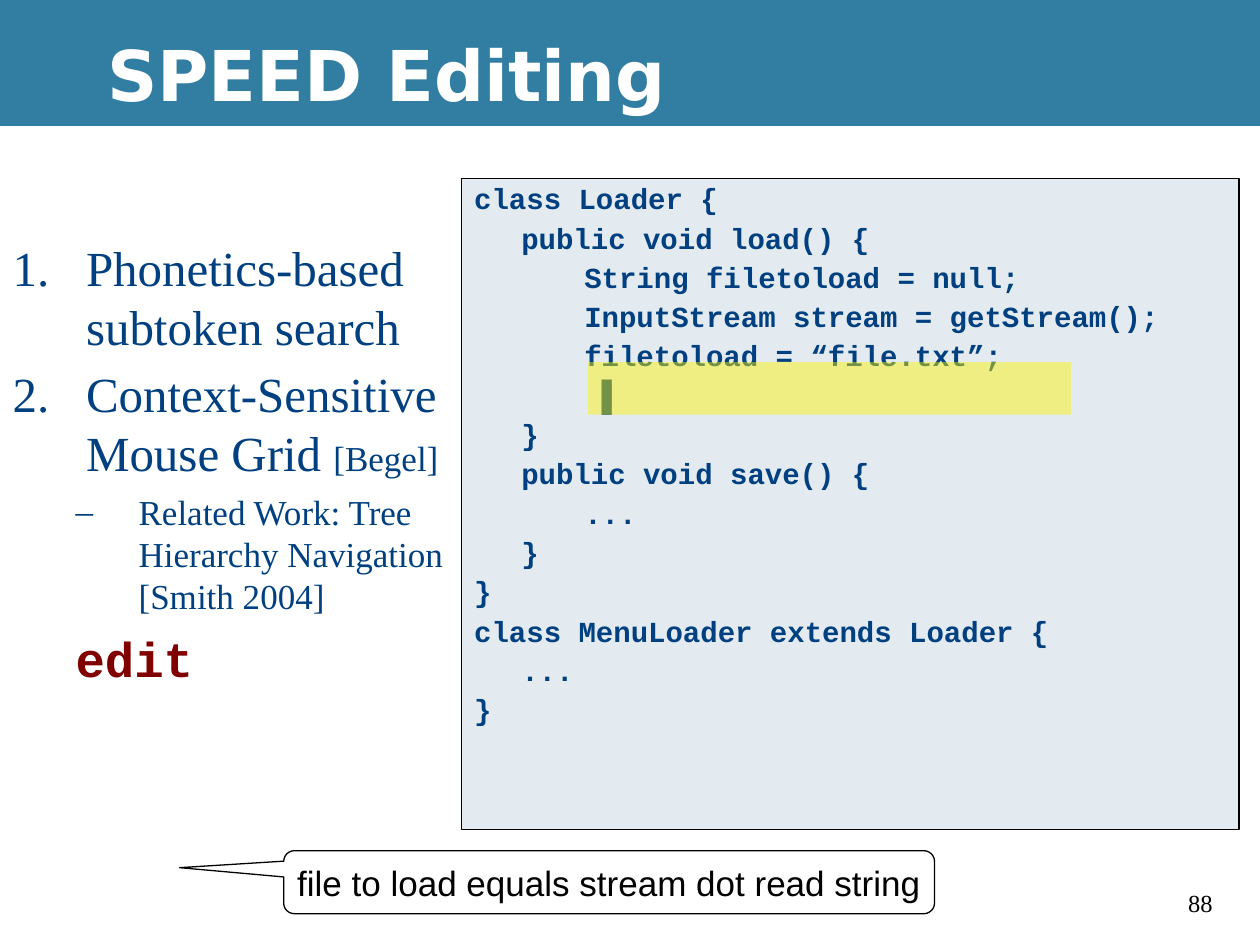
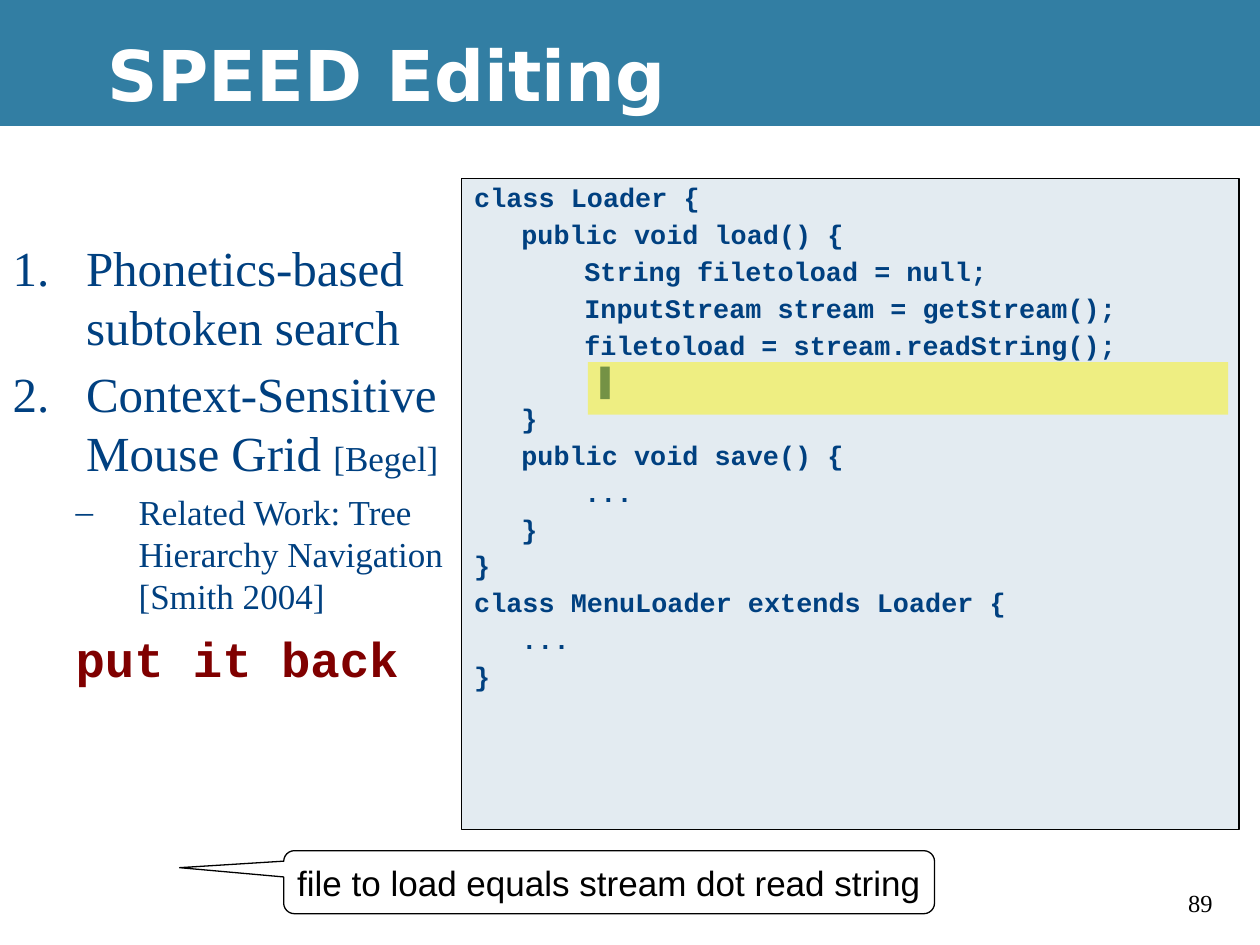
from lxml import etree
from pptx import Presentation
from pptx.dml.color import RGBColor
from pptx.enum import shapes, text
from pptx.oxml import ns
from pptx.util import Cm, Pt

BLACK = RGBColor(0x00, 0x00, 0x00)
WHITE = RGBColor(0xFF, 0xFF, 0xFF)
BAND_BLUE = RGBColor(0x32, 0x7E, 0xA3)
TEXT_BLUE = RGBColor(0x00, 0x40, 0x80)
COMMAND_RED = RGBColor(0x80, 0x00, 0x00)
CODE_FILL = RGBColor(0xE3, 0xEB, 0xF1)
HIGHLIGHT = RGBColor(0xFD, 0xF3, 0x00)

SERIF = "Times New Roman"
MONO = "Courier New"
SANS = "Arial"
TITLE_FONT = "DejaVu Sans"

WIDTH, HEIGHT, BAND_HEIGHT = Cm(25.4), Cm(19.05), Cm(2.54)
CURSOR = "▌"
CODE = """class Loader {
\tpublic void load() {
\t\tString filetoload = null;
\t\tInputStream stream = getStream();
\t\tfiletoload = %s;
\t\t %s
\t}
\tpublic void save() {
\t\t...
\t}
}
class MenuLoader extends Loader {
\t...
}"""


def add_text(paragraph, content, font=SERIF, size=20, color=TEXT_BLUE, bold=False):
    run = paragraph.add_run()
    run.text = content
    run.font.name = font
    run.font.size = Pt(size)
    run.font.bold = bold
    run.font.color.rgb = color


def add_child(parent, tag, **attributes):
    child = etree.SubElement(parent, ns.qn(tag))
    for name, value in attributes.items():
        child.set(name, str(value))
    return child


def set_indent(paragraph, margin, hanging):
    properties = paragraph._p.get_or_add_pPr()
    properties.set("marL", str(margin))
    properties.set("indent", str(-hanging))
    return properties


def add_tabs(properties):
    tabs = add_child(properties, "a:tabLst")
    for inch in range(8):
        add_child(tabs, "a:tab", pos=Cm(2.54 * inch), algn="l")


def next_paragraph(frame, space_before):
    first = frame.paragraphs[0]
    if not first.runs:
        return first
    paragraph = frame.add_paragraph()
    paragraph.space_before = Pt(space_before)
    return paragraph


def place(shape, left, top, width, height):
    shape.left, shape.top, shape.width, shape.height = left, top, width, height


def add_box(slide, kind, left, top, width, height, fill, outlined=False):
    shape = slide.shapes.add_shape(kind, left, top, width, height)
    shape.shadow.inherit = False
    shape.fill.solid()
    shape.fill.fore_color.rgb = fill
    if outlined:
        shape.line.color.rgb = BLACK
        shape.line.width = Pt(0.75)
    else:
        shape.line.fill.background()
    return shape


def add_bands_to_layout(slide):
    tree = slide.slide_layout.shapes.element
    bands = ((0, BAND_HEIGHT, BAND_BLUE), (BAND_HEIGHT, HEIGHT - BAND_HEIGHT, WHITE))
    for number, (top, height, fill) in enumerate(bands):
        band = add_box(slide, shapes.MSO_SHAPE.RECTANGLE, 0, top, WIDTH, height, fill)
        band.element.nvSpPr.cNvPr.set("id", str(20 + number))
        tree.insert(2, band.element)


def set_title(slide, content):
    title = slide.shapes.title
    place(title, Cm(1.91), Cm(0.21), Cm(23.49), Cm(2.54))
    frame = title.text_frame
    frame.auto_size = text.MSO_AUTO_SIZE.NONE
    frame.vertical_anchor = text.MSO_ANCHOR.MIDDLE
    paragraph = frame.paragraphs[0]
    paragraph.alignment = text.PP_ALIGN.LEFT
    add_text(paragraph, content, font=TITLE_FONT, size=40, color=WHITE, bold=True)


def add_list_item(frame, runs, level=0, bullet=None, space_before=5):
    paragraph = next_paragraph(frame, space_before)
    paragraph.level = level
    margin, hanging = ((Cm(1.48), Cm(1.48)), (Cm(2.54), Cm(1.27)))[level]
    properties = set_indent(paragraph, margin, hanging)
    if bullet is None:
        add_child(properties, "a:buNone")
    else:
        color = add_child(properties, "a:buClr")
        add_child(color, "a:srgbClr", val=TEXT_BLUE)
        add_child(properties, "a:buFont", typeface=SERIF)
        if bullet == "number":
            add_child(properties, "a:buAutoNum", type="arabicPeriod")
        else:
            add_child(properties, "a:buChar", char=bullet)
    for content, formatting in runs:
        add_text(paragraph, content, **formatting)


def set_techniques(slide, command):
    body = slide.placeholders[1]
    place(body, 0, Cm(4.66), Cm(9.74), Cm(12.28))
    frame = body.text_frame
    frame.auto_size = text.MSO_AUTO_SIZE.NONE
    large = {"size": 28}
    add_list_item(frame, [("Phonetics-based subtoken search", large)], bullet="number")
    add_list_item(frame, [("Context-Sensitive Mouse Grid ", large), ("[Begel]", {})],
                  bullet="number")
    add_list_item(frame, [("Related Work: Tree Hierarchy Navigation [Smith 2004]", {})],
                  level=1, bullet="–")
    command_format = {"font": MONO, "size": 28, "color": COMMAND_RED, "bold": True}
    add_list_item(frame, [(command, command_format)], level=1, space_before=7)


def add_code(slide, assigned_value, size):
    panel = add_box(slide, shapes.MSO_SHAPE.RECTANGLE, Cm(9.31), Cm(3.6), Cm(15.67),
                    Cm(13.12), CODE_FILL, outlined=True)
    frame = panel.text_frame
    frame.word_wrap = True
    frame.vertical_anchor = text.MSO_ANCHOR.TOP
    for line in (CODE % (assigned_value, CURSOR)).split("\n"):
        paragraph = next_paragraph(frame, 4.5)
        paragraph.alignment = text.PP_ALIGN.LEFT
        paragraph.line_spacing = 0.9
        add_tabs(set_indent(paragraph, Cm(0.95), Cm(0.95)))
        before, cursor, _ = line.partition(CURSOR)
        add_text(paragraph, before, font=MONO, size=size, bold=True)
        if cursor:
            add_text(paragraph, cursor, font=SANS, size=size, bold=True)


def add_highlight(slide, width):
    bar = add_box(slide, shapes.MSO_SHAPE.RECTANGLE, Cm(11.85), Cm(7.3), width,
                  Cm(1.06), HIGHLIGHT)
    color = bar.fill._xPr.find(ns.qn("a:solidFill"))[0]
    add_child(color, "a:alpha", val=46000)


def add_speech(slide, content):
    callout = add_box(slide, shapes.MSO_SHAPE.ROUNDED_RECTANGULAR_CALLOUT, Cm(5.72),
                      Cm(17.15), Cm(13.12), Cm(1.27), WHITE, outlined=True)
    for index, value in enumerate((-0.66, -0.23, 0.17)):
        callout.adjustments[index] = value
    frame = callout.text_frame
    frame.word_wrap = False
    frame.vertical_anchor = text.MSO_ANCHOR.MIDDLE
    frame.paragraphs[0].alignment = text.PP_ALIGN.CENTER
    add_text(frame.paragraphs[0], content, font=SANS, color=BLACK)


def add_page_number(slide, number):
    box = slide.shapes.add_textbox(Cm(23.7), Cm(17.78), Cm(1.27), Cm(0.86))
    box.text_frame.word_wrap = True
    add_text(box.text_frame.paragraphs[0], str(number), size=14, color=BLACK)


def main():
    presentation = Presentation()
    presentation.slide_width, presentation.slide_height = WIDTH, HEIGHT
    background = presentation.slide_master.background.fill
    background.solid()
    background.fore_color.rgb = BLACK
    layout = presentation.slide_layouts[1]

    steps = (
        (88, "edit", "“file.txt”", 16.6, Cm(9.74)),
        (89, "put it back", "stream.readString()", 15.3, Cm(12.91)),
    )
    for number, command, assigned_value, code_size, highlight_width in steps:
        slide = presentation.slides.add_slide(layout)
        if len(presentation.slides) == 1:
            add_bands_to_layout(slide)
        set_title(slide, "SPEED Editing")
        set_techniques(slide, command)
        add_code(slide, assigned_value, code_size)
        add_highlight(slide, highlight_width)
        add_speech(slide, "file to load equals stream dot read string")
        add_page_number(slide, number)
    presentation.save("out.pptx")


if __name__ == "__main__":
    main()
